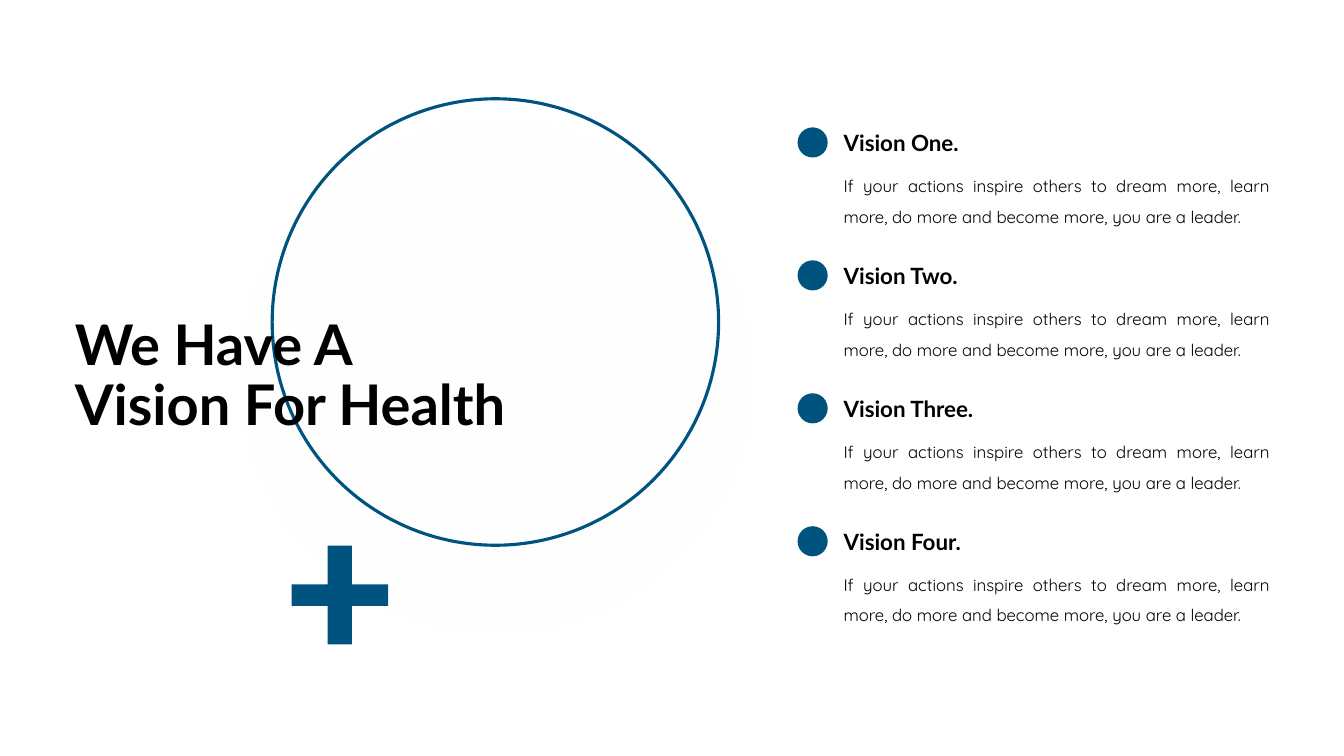
from lxml import etree
from pptx import Presentation
from pptx.dml.color import RGBColor
from pptx.enum import shapes, text
from pptx.oxml import ns
from pptx.util import Cm, Pt

BLUE = RGBColor(0x00, 0x52, 0x7F)
BLACK = RGBColor(0x00, 0x00, 0x00)
WHITE = RGBColor(0xFF, 0xFF, 0xFF)
HEADING_FONT, BODY_FONT = "Lato", "Quicksand"
VISIONS = ["Vision One.", "Vision Two.", "Vision Three.", "Vision Four."]
QUOTE = ("If your actions inspire others to dream more, learn more, "
         "do more and become more, you are a leader.")


def add_run(paragraph, words, font, size, bold=False):
    run = paragraph.add_run()
    run.text = words
    run.font.name, run.font.size, run.font.bold = font, Pt(size), bold
    run.font.color.rgb = BLACK


def add_circle(slide, left, top, size):
    circle = slide.shapes.add_shape(
        shapes.MSO_SHAPE.OVAL, Cm(left), Cm(top), Cm(size), Cm(size))
    circle.shadow.inherit = False
    circle.line.fill.background()
    return circle


def add_text(slide, left, top, width, height, anchor):
    box = slide.shapes.add_textbox(Cm(left), Cm(top), Cm(width), Cm(height))
    frame = box.text_frame
    frame.word_wrap = True
    frame.vertical_anchor = anchor
    frame.auto_size = text.MSO_AUTO_SIZE.SHAPE_TO_FIT_TEXT
    return frame.paragraphs[0]


def draw_rings(slide, left, top):
    # Soft white disc, slightly see-through at one end
    disc = add_circle(slide, left, top + 0.53, 12.98)
    disc.rotation = 90
    disc.fill.gradient()
    disc.fill.gradient_angle = 270
    for stop in disc.fill.gradient_stops:
        stop.color.rgb = WHITE
    for alpha, color in zip((0, 70000), disc.element.iter(ns.qn("a:srgbClr"))):
        etree.SubElement(color, ns.qn("a:alpha"), val=str(alpha))
    # Blue outline
    ring = add_circle(slide, left + 0.86, top, 11.25)
    ring.fill.background()
    ring.line.color.rgb = BLUE
    ring.line.width = Pt(2.25)


def draw_plus(slide, left, top, width, height):
    stem, bar = 0.61, 0.54
    x1, y1 = left + (width - stem) / 2, top + (height - bar) / 2
    x2, y2 = x1 + stem, y1 + bar
    right, bottom = left + width, top + height
    corners = [(x1, top), (x2, top), (x2, y1), (right, y1), (right, y2), (x2, y2),
               (x2, bottom), (x1, bottom), (x1, y2), (left, y2), (left, y1), (x1, y1)]
    points = [(Cm(x), Cm(y)) for x, y in corners]
    builder = slide.shapes.build_freeform(*points[0])
    builder.add_line_segments(points[1:], close=True)
    plus = builder.convert_to_shape()
    plus.shadow.inherit = False
    plus.fill.solid()
    plus.fill.fore_color.rgb = BLUE
    plus.line.fill.background()


def draw_visions(slide, left, top, width, pitch):
    text_left = left + 0.91
    for row, name in enumerate(VISIONS):
        y = top + row * pitch
        # Heading
        heading = add_text(slide, text_left, y, 7.24, 0.94, text.MSO_ANCHOR.MIDDLE)
        add_run(heading, name, HEADING_FONT, 16, bold=True)
        # Body
        body = add_text(slide, text_left, y + 0.94, width - 0.91, 1.8, text.MSO_ANCHOR.TOP)
        body.alignment = text.PP_ALIGN.JUSTIFY
        body.line_spacing = 1.5
        add_run(body, QUOTE, BODY_FONT, 12)
        # Marker
        marker = add_circle(slide, left, y + 0.09, 0.76)
        marker.fill.solid()
        marker.fill.fore_color.rgb = BLUE


def draw_title(slide, left, top, width, height):
    title = slide.shapes.title
    title.left, title.top = Cm(left), Cm(top)
    title.width, title.height = Cm(width), Cm(height)
    frame = title.text_frame
    frame.word_wrap = True
    frame.auto_size = text.MSO_AUTO_SIZE.NONE
    frame.vertical_anchor = text.MSO_ANCHOR.MIDDLE
    paragraph = frame.paragraphs[0]
    paragraph.alignment = text.PP_ALIGN.LEFT
    paragraph.line_spacing = 0.9
    add_run(paragraph, "We Have A", HEADING_FONT, 40, bold=True)
    paragraph.add_line_break()
    add_run(paragraph, "Vision For Health", HEADING_FONT, 40, bold=True)
    # Bring the title in front of the rings
    title.element.getparent().append(title.element)


def main():
    presentation = Presentation()
    presentation.slide_width, presentation.slide_height = Cm(33.87), Cm(19.05)
    slide = presentation.slides.add_slide(presentation.slide_layouts[5])
    draw_rings(slide, 6, 2.49)
    draw_plus(slide, 7.35, 13.75, 2.43, 2.49)
    draw_visions(slide, 20.1, 3.12, 12.16, 3.35)
    draw_title(slide, 1.63, 7.67, 12.9, 3.68)
    presentation.save("out.pptx")


if __name__ == "__main__":
    main()
